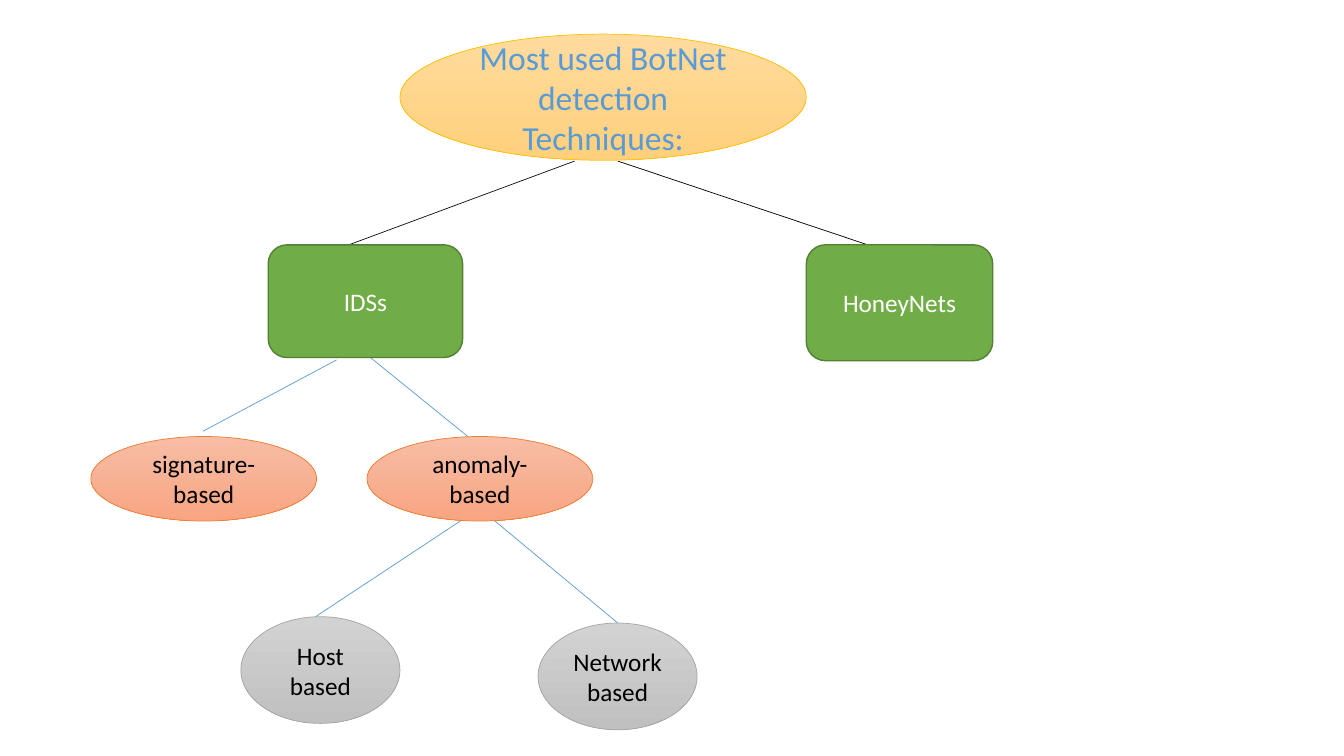
from lxml import etree
from pptx import Presentation
from pptx import util as u
from pptx.dml.color import RGBColor
from pptx.enum import shapes, text
from pptx.oxml import ns

BLUE = RGBColor(0x5B, 0x9B, 0xD5)
BLACK = RGBColor(0x00, 0x00, 0x00)
NEAR_BLACK = RGBColor(0x0D, 0x0D, 0x0D)
WHITE = RGBColor(0xFF, 0xFF, 0xFF)
GREEN = RGBColor(0x70, 0xAD, 0x47)
DARK_GREEN = RGBColor(0x53, 0x80, 0x35)
GOLD = RGBColor(0xFF, 0xC0, 0x00)
GOLD_TOP = RGBColor(0xFF, 0xDB, 0x9E)
GOLD_BOTTOM = RGBColor(0xFF, 0xD0, 0x7C)
ORANGE = RGBColor(0xED, 0x7D, 0x31)
ORANGE_TOP = RGBColor(0xF7, 0xBD, 0xA5)
ORANGE_BOTTOM = RGBColor(0xF8, 0xA5, 0x82)
GRAY = RGBColor(0xA5, 0xA5, 0xA5)
GRAY_TOP = RGBColor(0xD2, 0xD2, 0xD2)
GRAY_BOTTOM = RGBColor(0xC0, 0xC0, 0xC0)

ELLIPSE = shapes.MSO_SHAPE.OVAL
ROUNDED = shapes.MSO_SHAPE.ROUNDED_RECTANGLE

# Node styles: outline shape, fill colours, line colour, line width, text size, text colour
ROOT = (ELLIPSE, (GOLD_TOP, GOLD_BOTTOM), GOLD, 0.5, 24, BLUE)
TECHNIQUE = (ROUNDED, (GREEN,), DARK_GREEN, 1, 18, WHITE)
METHOD = (ELLIPSE, (ORANGE_TOP, ORANGE_BOTTOM), ORANGE, 0.5, 18, BLACK)
SCOPE = (ELLIPSE, (GRAY_TOP, GRAY_BOTTOM), GRAY, 0.5, 18, BLACK)

# Label, style, left, top, width, height in centimetres
NODES = [
    ("Most used BotNet detection Techniques:", ROOT, 10.08, 0.86, 10.24, 3.18),
    ("IDSs", TECHNIQUE, 6.76, 6.17, 4.9, 2.84),
    ("HoneyNets", TECHNIQUE, 20.32, 6.17, 4.7, 2.92),
    ("signature-based", METHOD, 2.29, 11, 5.69, 2.13),
    ("anomaly-based", METHOD, 9.25, 11, 5.69, 2.13),
    ("Host based", SCOPE, 6.07, 15.54, 4.01, 2.69),
    ("Network based", SCOPE, 13.56, 15.7, 4.01, 2.69),
]

# Start x, start y, end x, end y in centimetres, then colour
LINKS = [
    (14.48, 4.06, 8.79, 6.17, NEAR_BLACK),
    (15.57, 4.06, 21.87, 6.17, BLACK),
    (8.48, 9.07, 5.11, 10.87, BLUE),
    (9.25, 8.94, 11.79, 11, BLUE),
    (11.63, 13.11, 7.95, 15.54, BLUE),
    (12.45, 13.11, 15.57, 15.7, BLUE),
]

presentation = Presentation()
presentation.slide_width = u.Cm(33.87)
presentation.slide_height = u.Cm(19.05)
slide = presentation.slides.add_slide(presentation.slide_layouts[6])

# Branches of the tree, behind the nodes
for *ends, color in LINKS:
    link = slide.shapes.add_connector(
        shapes.MSO_CONNECTOR.STRAIGHT, *[u.Cm(value) for value in ends])
    link.line.color.rgb = color
    link.line.width = u.Pt(0.5)
    etree.SubElement(link._element.spPr, ns.qn("a:effectLst"))

# Nodes of the tree
for label, style, *box in NODES:
    outline, fills, line_color, line_width, size, text_color = style
    node = slide.shapes.add_shape(outline, *[u.Cm(value) for value in box])
    node.shadow.inherit = False
    node.line.color.rgb = line_color
    node.line.width = u.Pt(line_width)
    if len(fills) == 1:
        node.fill.solid()
        node.fill.fore_color.rgb = fills[0]
    else:
        node.fill.gradient()
        node.fill.gradient_angle = 270
        for position, (stop, color) in enumerate(zip(node.fill.gradient_stops, fills)):
            stop.position = position
            stop.color.rgb = color

    frame = node.text_frame
    frame.text = label
    frame.word_wrap = True
    frame.vertical_anchor = text.MSO_ANCHOR.MIDDLE
    paragraph = frame.paragraphs[0]
    paragraph.alignment = text.PP_ALIGN.CENTER
    font = paragraph.runs[0].font
    font.name = "Calibri"
    font.size = u.Pt(size)
    font.color.rgb = text_color

presentation.save("out.pptx")
